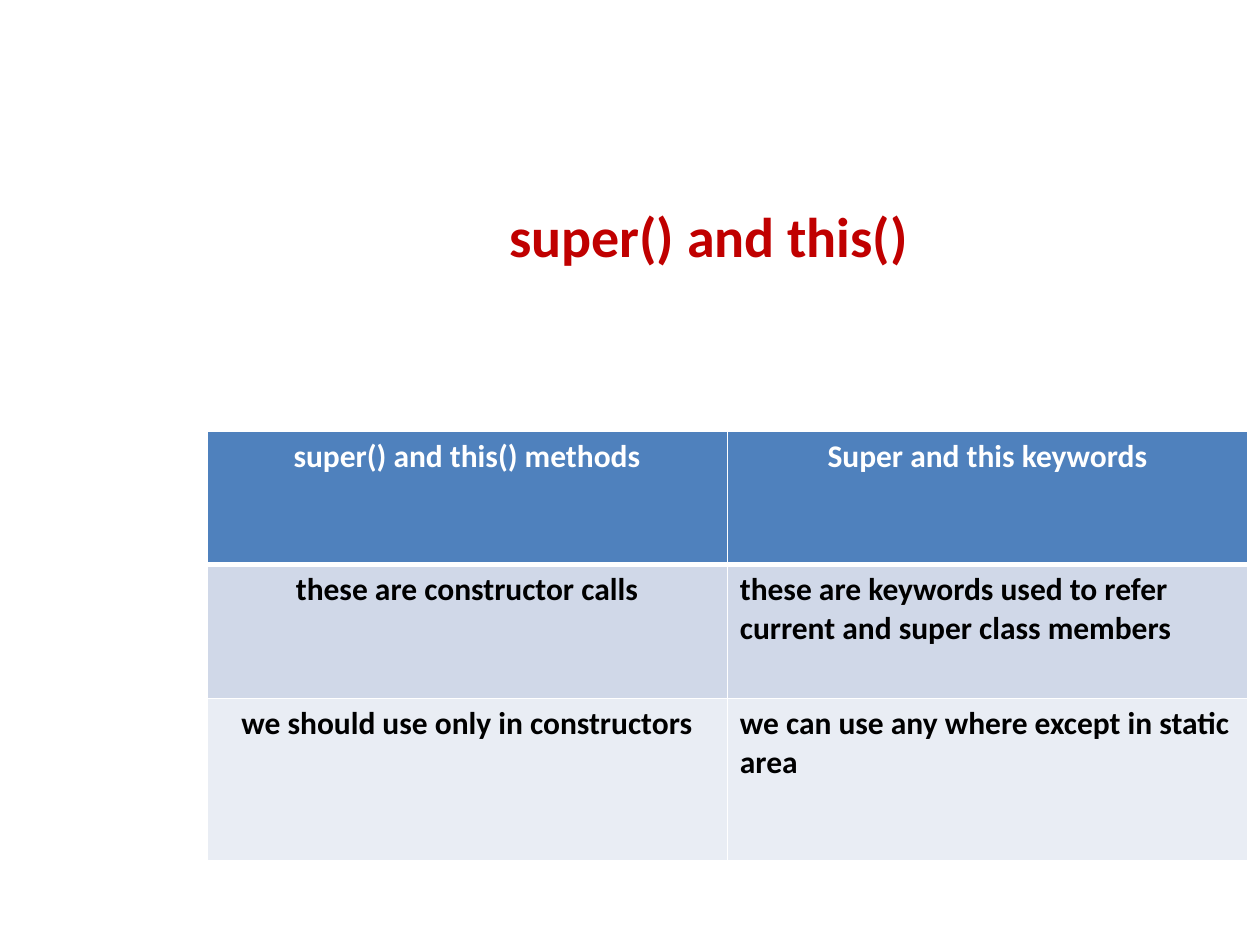
from dataclasses import dataclass

from lxml import etree
from pptx import Presentation
from pptx.dml.color import RGBColor
from pptx.enum import text
from pptx.oxml import ns
from pptx.util import Pt

WHITE, BLACK, RED = "FFFFFF", "000000", "C00000"
CENTER, LEFT = text.PP_ALIGN.CENTER, text.PP_ALIGN.LEFT


@dataclass
class Row:
    methods: str
    keywords: str
    height: float
    fill: str
    color: str = BLACK
    keywords_align: text.PP_ALIGN = LEFT
    bottom: float = 1


ROWS = [
    Row("super() and this() methods", "Super and this keywords",
        76.5, "4F81BD", WHITE, CENTER, 3),
    Row("these are constructor calls",
        "these are keywords used to refer current and super class members",
        76.5, "D0D8E8"),
    Row("we should use only in constructors",
        "we can use any where except in static area", 93, "E9EDF4"),
]


def rgb(value: str) -> RGBColor:
    return RGBColor.from_string(value)


def write(tf, words: str, *, size: float, color: str, align=LEFT) -> None:
    tf.word_wrap = True
    p = tf.paragraphs[0]
    p.alignment = align
    r = p.add_run()
    r.text = words
    r.font.name = "Calibri"
    r.font.size = Pt(size)
    r.font.bold = True
    r.font.color.rgb = rgb(color)


def set_borders(cell, widths: dict[str, float], color: str = WHITE) -> None:
    """Insert the border lines ahead of the cell fill, as the schema asks."""
    props = cell._tc.get_or_add_tcPr()
    for i, (side, width) in enumerate(widths.items()):
        line = etree.Element(ns.qn(f"a:ln{side}"), w=str(Pt(width)))
        fill = etree.SubElement(line, ns.qn("a:solidFill"))
        etree.SubElement(fill, ns.qn("a:srgbClr"), val=color)
        props.insert(i, line)


def add_comparison(s, left: float, top: float, col_width: float,
                   rows: list[Row]) -> None:
    height = sum(row.height for row in rows)
    table = s.shapes.add_table(len(rows), 2, Pt(left), Pt(top),
                               Pt(2 * col_width), Pt(height)).table
    for column in table.columns:
        column.width = Pt(col_width)
    above = 1
    for i, row in enumerate(rows):
        table.rows[i].height = Pt(row.height)
        entries = [(row.methods, CENTER), (row.keywords, row.keywords_align)]
        for j, (words, align) in enumerate(entries):
            cell = table.cell(i, j)
            cell.fill.solid()
            cell.fill.fore_color.rgb = rgb(row.fill)
            write(cell.text_frame, words, size=18, color=row.color, align=align)
            set_borders(cell, {"L": 1, "R": 1, "T": above, "B": row.bottom})
        above = row.bottom


def main() -> None:
    prs = Presentation()
    prs.slide_width, prs.slide_height = Pt(720), Pt(540)
    s = prs.slides.add_slide(prs.slide_layouts[6])

    # Title
    sp = s.shapes.add_textbox(Pt(90), Pt(111.6), Pt(630), Pt(74.2))
    write(sp.text_frame, "super() and this()", size=32, color=RED, align=CENTER)

    # Comparison table
    add_comparison(s, 118.2, 246.2, 297.4, ROWS)

    prs.save("out.pptx")


if __name__ == "__main__":
    main()
